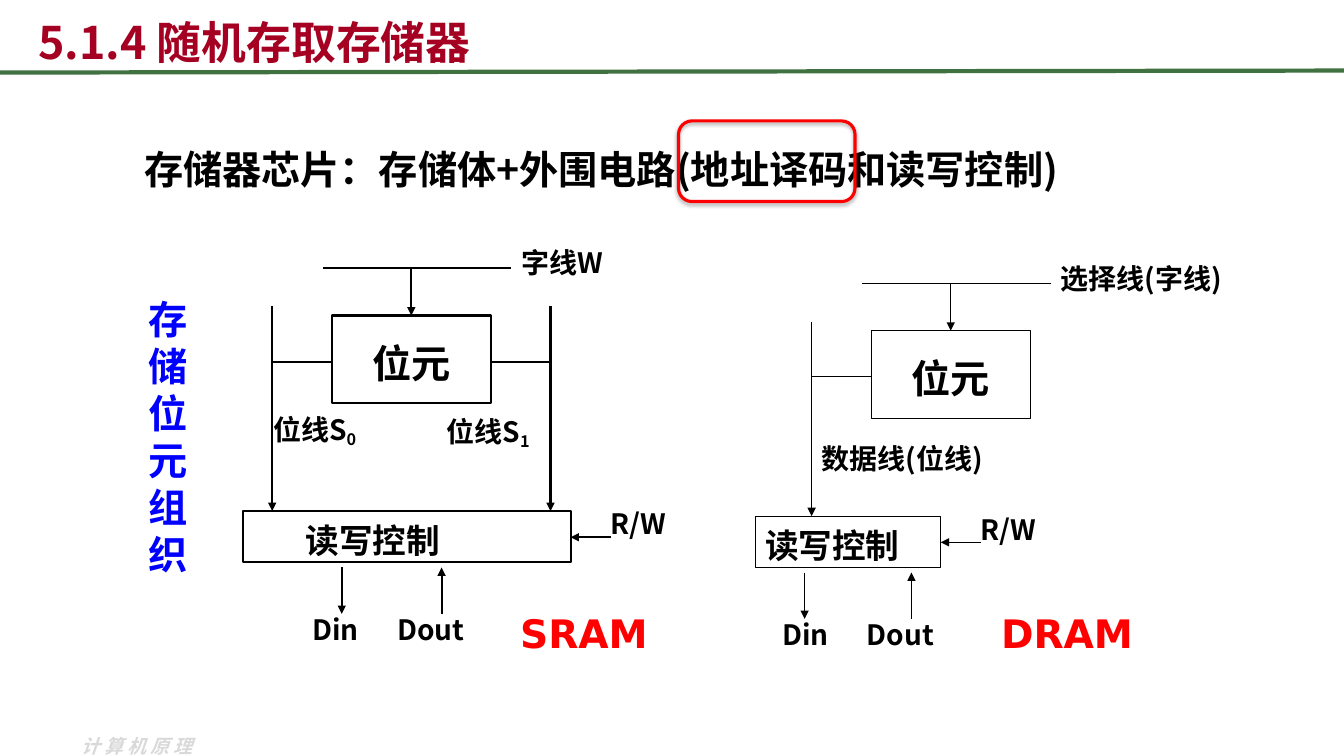
import lxml.etree
import pptx
import pptx.dml.color
import pptx.enum.shapes
import pptx.enum.text
import pptx.oxml.ns
import pptx.util

SHAPE = pptx.enum.shapes.MSO_SHAPE
ANCHOR = pptx.enum.text.MSO_ANCHOR
ALIGN = pptx.enum.text.PP_ALIGN
qn = pptx.oxml.ns.qn

HUES = {"ink": "000000", "title": "A50021", "rule": "3F7141",
        "side": "0000FF", "mark": "FF0000", "foot": "D9D9D9"}
CJK = "Noto Sans CJK SC"
SANS = "DejaVu Sans"

# Grid of square cells, ten to the inch
COLS, ROWS = 133.3, 75
CELL = pptx.util.Inches(0.1)


def grid(*cells):
    return [round(n * CELL) for n in cells]


def hue(name):
    return pptx.dml.color.RGBColor.from_string(HUES[name])


def style(run, size, color, face):
    font = run.font
    font.size = pptx.util.Pt(size)
    font.name = face
    font.bold = True
    font.color.rgb = hue(color)
    east = lxml.etree.SubElement(font._element, qn("a:ea"))
    east.set("typeface", face)


def write(shape, words, size, color="ink", face=CJK, sub="", left=1):
    frame = shape.text_frame
    frame.word_wrap = True
    frame.margin_left, frame.margin_right = grid(left, 0)
    frame.margin_top, frame.margin_bottom = grid(0.8, 0.2)
    para = frame.paragraphs[0]
    para.text = words
    para.alignment = ALIGN.LEFT
    para.line_spacing = pptx.util.Pt(size * 1.2)
    if sub:
        low = para.add_run()
        low.text = sub
        low.font._element.set("baseline", "-18000")
    for run in para.runs:
        style(run, size, color, face)
    return para


def label(slide, x, y, wide, high, words, size, **look):
    box = slide.shapes.add_textbox(*grid(x, y, wide, high))
    write(box, words, size, **look)
    return box


def note(slide, x, y, words, sub=""):
    return label(slide, x, y, 20.7, 4.4, words, 20, sub=sub)


def frame(slide, kind, x, y, wide, high, weight, color="ink"):
    box = slide.shapes.add_shape(kind, *grid(x, y, wide, high))
    box.shadow.inherit = False
    box.fill.background()
    box.line.color.rgb = hue(color)
    box.line.width = pptx.util.Pt(weight)
    box.text_frame.vertical_anchor = ANCHOR.MIDDLE
    return box


def line(slide, x1, y1, x2, y2, weight, arrow=False, color="ink"):
    link = slide.shapes.add_connector(
        pptx.enum.shapes.MSO_CONNECTOR.STRAIGHT, *grid(x1, y1, x2, y2))
    link.line.color.rgb = hue(color)
    link.line.width = pptx.util.Pt(weight)
    if arrow:
        tail = lxml.etree.SubElement(link.line._get_or_add_ln(), qn("a:tailEnd"))
        tail.set("type", "triangle")
    lxml.etree.SubElement(link._element.spPr, qn("a:effectLst"))


def cell(slide, x, y, end, weight):
    """Storage cell with its word line above and a bit line on the left."""
    box = frame(slide, SHAPE.RECTANGLE, x, y, 15.8, 8.7, weight)
    write(box, "位元", 28, left=0).alignment = ALIGN.CENTER
    line(slide, x - 0.9, y - 4.7, x + 17.8, y - 4.7, weight)
    line(slide, x + 7.9, y - 4.7, x + 7.9, y, weight, arrow=True)
    line(slide, x - 5.9, y - 0.9, x - 5.9, end, weight, arrow=True)
    line(slide, x - 5.9, y + 4.6, x, y + 4.6, weight)


def control(slide, x, y, wide, inset, data, out, weight):
    """Read/write control with its data and R/W arrows."""
    box = frame(slide, SHAPE.RECTANGLE, x, y, wide, 5.1, weight)
    write(box, "读写控制", 24, left=inset)
    end = x + wide
    line(slide, end + 4, y + 2.6, end, y + 2.6, weight, arrow=True)
    note(slide, end + 3, y - 1.2, "R/W")
    line(slide, data, y + 5.6, data, y + 10.2, weight, arrow=True)
    line(slide, out, y + 10.2, out, y + 5.6, weight, arrow=True)


def pins(slide, x, y):
    for step, words in enumerate(("Din", "Dout")):
        label(slide, x + 8.4 * step, y, 9, 4.4, words, 20)


def mark(slide, x, words):
    label(slide, x, 59.7, 16.9, 5.7, words, 28, color="mark", face=SANS)


def sram(slide):
    weight = 1.5
    cell(slide, 32.9, 31.3, 50.7, weight)
    line(slide, 54.6, 30.4, 54.6, 50.7, weight, arrow=True)
    line(slide, 48.7, 35.9, 54.6, 35.9, weight)
    note(slide, 50.7, 23.6, "字线W")
    note(slide, 26.1, 40.4, "位线S", sub="0")
    note(slide, 43.3, 40.6, "位线S", sub="1")
    control(slide, 24.1, 50.7, 32.5, 6.2, 33.9, 43.8, weight)
    pins(slide, 30, 60)
    mark(slide, 50.6, "SRAM")


def dram(slide):
    weight = 0.75
    cell(slide, 86.4, 32.8, 51.2, weight)
    note(slide, 104.2, 25.1, "选择线(字线)")
    note(slide, 80.5, 43, "数据线(位线)")
    control(slide, 74.9, 51.2, 18.4, 1, 79.8, 90.4, weight)
    pins(slide, 76.6, 60.5)
    mark(slide, 98.3, "DRAM")


def focus(slide):
    box = frame(slide, SHAPE.ROUNDED_RECTANGLE, 67.3, 12, 17.5, 8, 2.25, "mark")
    effects = box._element.spPr.find(qn("a:effectLst"))
    shade = lxml.etree.SubElement(effects, qn("a:outerShdw"))
    for key, value in (("blurRad", pptx.util.Pt(3.1)), ("dist", pptx.util.Pt(1.8)),
                       ("dir", 90 * 60000), ("rotWithShape", 0)):
        shade.set(key, str(value))
    tint = lxml.etree.SubElement(shade, qn("a:srgbClr"), val=HUES["ink"])
    lxml.etree.SubElement(tint, qn("a:alpha"), val="35000")


def main():
    deck = pptx.Presentation()
    deck.slide_width, deck.slide_height = grid(COLS, ROWS)
    slide = deck.slides.add_slide(deck.slide_layouts[6])

    # Footer, rule and title
    foot = label(slide, 7.1, 72.1, 14.6, 3.4, "计算机原理", 13.5, color="foot")
    font = foot.text_frame.paragraphs[0].runs[0].font
    font.italic = True
    font._element.set("spc", "300")
    line(slide, 0, 7.2, COLS, 7, 3, color="rule")
    title = label(slide, 2.8, -0.2, 120, 7.2, "5.1.4 随机存取存储器", 32, color="title")
    title.text_frame.vertical_anchor = ANCHOR.BOTTOM

    # Side heading, one character to a line
    label(slide, 13.7, 28.5, 8.4, 29.3, "存储位元组织", 28, color="side")

    # Two memory diagrams
    sram(slide)
    dram(slide)

    # Summary with its highlighted part
    label(slide, 13.3, 13.6, 109.8, 8.1,
          "存储器芯片：存储体+外围电路(地址译码和读写控制)", 28)
    focus(slide)

    deck.save("out.pptx")


if __name__ == "__main__":
    main()
